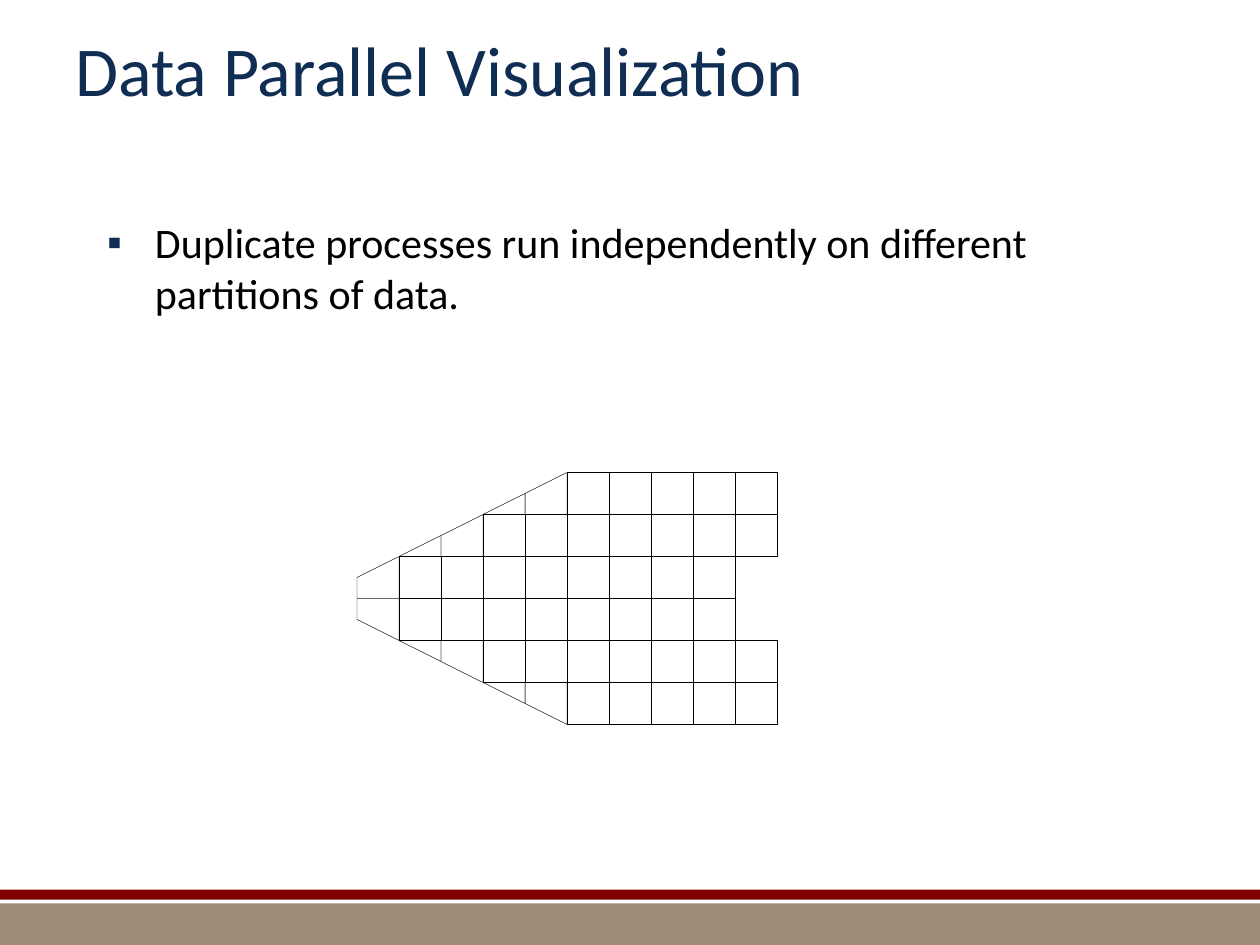
from lxml import etree
from pptx import Presentation
from pptx.dml.color import RGBColor
from pptx.enum.shapes import MSO_SHAPE
from pptx.enum.text import MSO_ANCHOR, PP_ALIGN
from pptx.oxml.ns import qn
from pptx.util import Inches, Pt

RECTANGLE = MSO_SHAPE.RECTANGLE
MIDDLE, LEFT = MSO_ANCHOR.MIDDLE, PP_ALIGN.LEFT

NAVY = RGBColor(0x10, 0x2E, 0x54)
BLACK = RGBColor(0, 0, 0)
MAROON = RGBColor(0x80, 0, 0)
TAUPE = RGBColor(0x9E, 0x8C, 0x78)

TITLE = "Data Parallel Visualization"
POINT = "Duplicate processes run independently on different partitions of data."
FOOTER_BARS = [(7.17, 0.33, TAUPE), (7.06, 0.08, MAROON)]  # top, height, colour

# The mesh is symmetric about a horizontal axis; units are cells from its tip.
CELL = 1 / 3
TIP_X, AXIS_Y = 17 / 6, 4.75
ROWS = [(1, 8), (3, 9), (5, 9)]  # first and last square column, axis outward
CUT_CELLS = [  # (column, distance from axis) corners along the sloped edge
    [(0, 0), (1, 0), (1, 1), (0, 0.5)],
    [(1, 1), (2, 1), (2, 1.5)],
    [(2, 1), (3, 1), (3, 2), (2, 1.5)],
    [(3, 2), (4, 2), (4, 2.5)],
    [(4, 2), (5, 2), (5, 3), (4, 2.5)],
]


def mesh_point(column, offset):
    return Inches(TIP_X + column * CELL), Inches(AXIS_Y + offset * CELL)


def outline(shape):
    shape.shadow.inherit = False
    shape.fill.background()
    shape.line.color.rgb = BLACK
    shape.line.width = Pt(0.25)


def place(placeholder, left, top, width, height):
    placeholder.left, placeholder.top = Inches(left), Inches(top)
    placeholder.width, placeholder.height = Inches(width), Inches(height)


def set_bullet(paragraph, char, color, indent):
    properties = paragraph._p.get_or_add_pPr()
    properties.set("marL", str(Inches(indent)))
    properties.set("indent", str(-Inches(indent)))
    bullet_color = etree.SubElement(properties, qn("a:buClr"))
    etree.SubElement(bullet_color, qn("a:srgbClr"), val=str(color))
    etree.SubElement(properties, qn("a:buFont"), typeface="Arial")
    etree.SubElement(properties, qn("a:buChar"), char=char)


def set_font(paragraph, size, color):
    paragraph.alignment = LEFT
    for run in paragraph.runs:
        run.font.name = "Calibri"
        run.font.size = Pt(size)
        run.font.color.rgb = color


def add_mesh_half(shapes, side):
    """Draw the half above (side -1) or below (side 1) the axis."""
    for row, (first, last) in enumerate(ROWS):
        for column in range(first, last + 1):
            left, top = mesh_point(column, min(side * row, side * (row + 1)))
            outline(shapes.add_shape(RECTANGLE, left, top, Inches(CELL), Inches(CELL)))
    for corners in CUT_CELLS:
        start, *others = [mesh_point(column, side * offset) for column, offset in corners]
        builder = shapes.build_freeform(*start)
        builder.add_line_segments(others, close=True)
        outline(builder.convert_to_shape())


def main():
    prs = Presentation()
    prs.slide_width, prs.slide_height = Inches(10), Inches(7.5)
    slide = prs.slides.add_slide(prs.slide_layouts[1])

    for top, height, color in FOOTER_BARS:
        bar = slide.shapes.add_shape(RECTANGLE, 0, Inches(top), prs.slide_width, Inches(height))
        bar.shadow.inherit = False
        bar.fill.solid()
        bar.fill.fore_color.rgb = color
        bar.line.fill.background()

    title = slide.shapes.title
    place(title, 0.5, 0, 9, 1.08)
    title.text_frame.text = TITLE
    title.text_frame.vertical_anchor = MIDDLE
    set_font(title.text_frame.paragraphs[0], 40, NAVY)

    body = slide.placeholders[1]
    place(body, 0.75, 1.67, 8.5, 1.08)
    body.text_frame.text = POINT
    point = body.text_frame.paragraphs[0]
    set_bullet(point, "▪", NAVY, 0.38)
    point.space_before = Pt(0)
    set_font(point, 24, BLACK)

    for side in (-1, 1):
        add_mesh_half(slide.shapes, side)
    prs.save("out.pptx")


if __name__ == "__main__":
    main()
